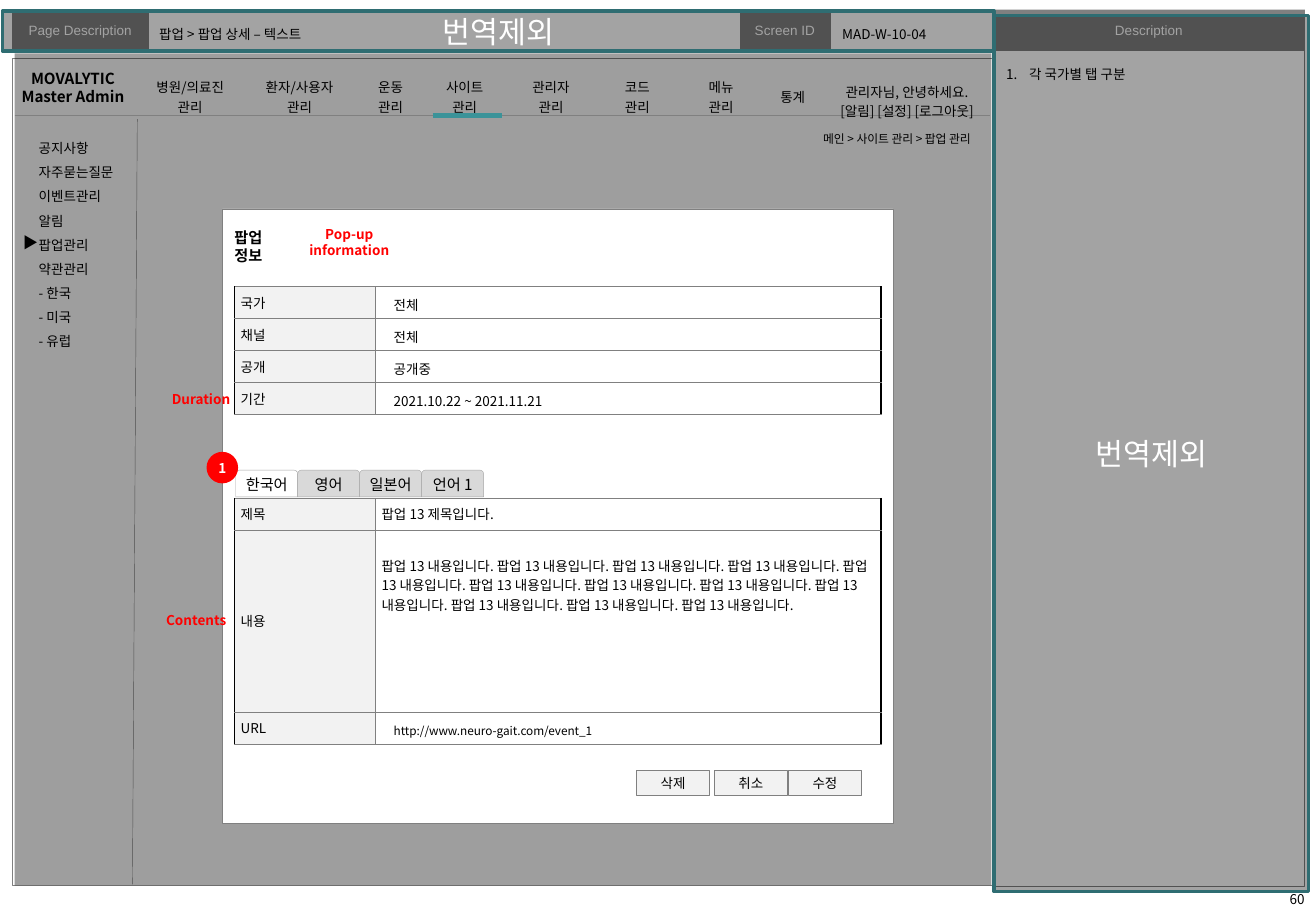
from dataclasses import dataclass

from lxml import etree
from pptx import Presentation
from pptx.dml.color import RGBColor
from pptx.enum.shapes import MSO_CONNECTOR, MSO_SHAPE as Shape
from pptx.enum.text import MSO_ANCHOR as Anchor, MSO_AUTO_SIZE as AutoSize, PP_ALIGN as Align
from pptx.oxml.ns import qn
from pptx.util import Inches, Pt


@dataclass(frozen=True)
class Theme:
    sans: str = "Noto Sans CJK KR"
    arial: str = "Arial"
    black: str = "000000"
    white: str = "FFFFFF"
    gray: str = "808080"
    tab_line: str = "A6A6A6"
    tab_idle: str = "D9D9D9"
    pale: str = "F2F2F2"
    red: str = "FF0000"
    frame: str = "2F6D72"
    accent: str = "3B9399"
    tiny: int = 7
    small: int = 8
    label: int = 9
    large: int = 18
    hairline: float = 0.25
    leading: float = 1.19


class Wireframe:
    def __init__(self, page, theme):
        self.page, self.theme = page, theme

    def set_text(self, frame, lines, size=None, color=None, bold=False, font=None, align=Align.LEFT,
                 anchor=Anchor.TOP, inset=(0.1, 0.05), spacing=None, hanging=0, bullet=None):
        """Spacing is a multiple of the theme leading; None keeps the natural line height."""
        frame.word_wrap = True
        frame.auto_size = AutoSize.NONE
        frame.vertical_anchor = anchor
        frame.margin_left = frame.margin_right = Inches(inset[0])
        frame.margin_top = frame.margin_bottom = Inches(inset[1])
        for number, line in enumerate(lines):
            para = frame.paragraphs[0] if number == 0 else frame.add_paragraph()
            self.set_line(para, line, size, color, bold, font, align, spacing)
            if bullet:
                props = para._p.get_or_add_pPr()
                props.set("marL", str(Inches(hanging)))
                props.set("indent", str(-Inches(hanging)))
                mark = etree.SubElement(props, qn(f"a:{bullet}"))
                if bullet == "buAutoNum":
                    mark.set("type", "arabicPeriod")

    def set_line(self, para, line, size=None, color=None, bold=False, font=None,
                 align=Align.LEFT, spacing=None):
        size = size or self.theme.small
        para.alignment = align
        para.space_before = Pt(0)
        if spacing:
            para.line_spacing = Pt(round(size * self.theme.leading * spacing, 1))
        span = para.add_run()
        span.text = line
        span.font.size, span.font.bold = Pt(size), bold
        span.font.name = font or self.theme.sans
        span.font.color.rgb = RGBColor.from_string(color or self.theme.black)
        east = etree.SubElement(span._r.get_or_add_rPr(), qn("a:ea"))
        east.set("typeface", self.theme.sans)

    def shape(self, at, kind=Shape.RECTANGLE, fill=None, opacity=None, line=None,
              width=None, lines=(), **style):
        box = self.page.shapes.add_shape(kind, *map(Inches, at))
        box.shadow.inherit = False
        if fill:
            box.fill.solid()
            box.fill.fore_color.rgb = RGBColor.from_string(fill)
        else:
            box.fill.background()
        if opacity:
            paint = box._element.spPr.find(qn("a:solidFill"))[0]
            etree.SubElement(paint, qn("a:alpha")).set("val", str(opacity * 1000))
        if line:
            box.line.color.rgb = RGBColor.from_string(line)
            box.line.width = Pt(width or self.theme.hairline)
        else:
            box.line.fill.background()
        self.set_text(box.text_frame, lines, align=Align.CENTER, anchor=Anchor.MIDDLE,
                      inset=(0, 0), **style)
        return box

    def text(self, at, lines, spacing=1, **style):
        box = self.page.shapes.add_textbox(*map(Inches, at))
        self.set_text(box.text_frame, lines, spacing=spacing, **style)

    def placeholder(self, index, at, lines, **style):
        box = self.page.placeholders[index]
        box.left, box.top, box.width, box.height = map(Inches, at)
        self.page.shapes._spTree.append(box._element)
        self.set_text(box.text_frame, lines, **style)

    def line(self, start, end, color, width):
        rule = self.page.shapes.add_connector(MSO_CONNECTOR.STRAIGHT, *map(Inches, start + end))
        rule.line.color.rgb = RGBColor.from_string(color)
        rule.line.width = Pt(width)
        etree.SubElement(rule._element.spPr, qn("a:effectLst"))

    def table(self, left, top, columns, rows):
        at = (left, top, sum(columns), sum(rows))
        table = self.page.shapes.add_table(len(rows), len(columns), *map(Inches, at)).table
        table.first_row = table.horz_banding = False
        for column, width in zip(table.columns, columns):
            column.width = Inches(width)
        for row, height in zip(table.rows, rows):
            row.height = Inches(height)
        return table

    def cell(self, cell, lines, fill=None, borders=(None,) * 4, margins=(0.05,) * 4,
             anchor=Anchor.MIDDLE, **style):
        """Borders and margins run left, right, top, bottom."""
        cell.vertical_anchor = anchor
        (cell.margin_left, cell.margin_right,
         cell.margin_top, cell.margin_bottom) = map(Inches, margins)
        if fill:
            cell.fill.solid()
            cell.fill.fore_color.rgb = RGBColor.from_string(fill)
        else:
            cell.fill.background()
        frame = cell.text_frame
        for number, line in enumerate(lines):
            para = frame.paragraphs[0] if number == 0 else frame.add_paragraph()
            self.set_line(para, line, **style)
        if not lines:  # keeps an empty cell from stretching its row
            ending = etree.SubElement(frame.paragraphs[0]._p, qn("a:endParaRPr"))
            ending.set("sz", str(self.theme.small * 100))
        props = cell._tc.get_or_add_tcPr()
        for number, (side, border) in enumerate(zip("LRTB", borders)):
            edge = etree.Element(qn(f"a:ln{side}"))
            if border:
                edge.set("w", str(Pt(border[1])))
                paint = etree.SubElement(edge, qn("a:solidFill"))
                etree.SubElement(paint, qn("a:srgbClr")).set("val", border[0])
            else:
                etree.SubElement(edge, qn("a:noFill"))
            props.insert(number, edge)

    def form(self, top, heights, rows):
        """Label and value rows; each row holds label, value and the value's cell options."""
        thin = (self.theme.gray, self.theme.hairline)
        left, right = (self.theme.black, 0.5), (self.theme.black, 1.25)
        table = self.table(1.93, top, (1.16, 4.16), heights)
        for number, (label, value, options) in enumerate(rows):
            self.cell(table.cell(number, 0), [label], self.theme.pale, (left, thin, thin, thin))
            self.cell(table.cell(number, 1), [value], borders=(thin, right, thin, thin), **options)


def main():
    theme = Theme()
    deck = Presentation()
    deck.slide_width, deck.slide_height = Inches(10.83), Inches(7.5)
    page = deck.slides.add_slide(deck.slide_layouts[3])
    ui = Wireframe(page, theme)

    # Header strip and page frames
    header = ui.table(0.1, 0.09, (1.12, 4.87, 0.74, 1.35), (0.32,))
    for number, caption in enumerate(("Page Description", "", "Screen ID", "")):
        ui.cell(header.cell(0, number), [caption] if caption else [],
                theme.gray if caption else theme.white, ((theme.gray, theme.hairline),) * 4,
                (0.04,) * 4, color=theme.white, font=theme.arial, align=Align.CENTER)
    for at in ((0.1, 0.48, 8.07, 6.81), (8.17, 0.39, 2.56, 6.91)):
        ui.shape(at, line=theme.gray)
    ui.shape((8.17, 0.08, 2.57, 0.34), fill=theme.gray, lines=["Description"],
             color=theme.white, font=theme.arial)
    ui.text((10.5, 7.29, 0.35, 0.2), ["60"], align=Align.CENTER, inset=(0.05, 0.05))

    # Translucent covers
    for at in ((8.18, 0.13, 2.59, 7.21), (0.02, 0.09, 8.16, 0.33)):
        ui.shape(at, fill=theme.black, opacity=36, line=theme.frame, width=2,
                 lines=["번역제외"], size=theme.large, color=theme.white)
    ui.line((1.13, 0.98), (1.09, 7.28), theme.gray, theme.hairline)
    ui.shape((0.12, 0.44, 8.04, 6.85), fill=theme.black, opacity=38)

    # Side menu and top navigation
    ui.text((0.22, 1.04, 0.88, 1.92),
            ["공지사항", "자주묻는질문", "이벤트관리", "알림", "팝업관리", "약관관리",
             "- 한국", "- 미국", "- 유럽"], spacing=1.5)
    ui.line((0.12, 0.95), (8.15, 0.95), theme.gray, theme.hairline)
    menus = (["병원/의료진", "관리"], ["환자/사용자", "관리"], ["운동", "관리"],
             ["사이트", "관리"], ["관리자", "관리"], ["코드", "관리"], ["메뉴", "관리"],
             ["통계"], ["관리자님, 안녕하세요.", "[알림] [설정] [로그아웃]"])
    navigation = ui.table(1.14, 0.54, (0.85, 0.95, 0.55, 0.67, 0.75, 0.67, 0.71, 0.47, 1.41),
                          (0.41,))
    for number, menu in enumerate(menus):
        bottom = 0.05 if number == len(menus) - 1 else 0.13
        ui.cell(navigation.cell(0, number), menu, margins=(0.1, 0.1, 0.05, bottom),
                align=Align.CENTER)
    ui.line((3.56, 0.95), (4.13, 0.95), theme.accent, 3)
    ui.text((0.01, 0.52, 1.18, 0.4), ["MOVALYTIC", "Master Admin"], size=theme.label,
            bold=True, align=Align.CENTER)

    # Title, screen number and description
    ui.placeholder(0, (1.27, 0.13, 5.01, 0.3), ["팝업 > 팝업 상세 – 텍스트"],
                   anchor=Anchor.MIDDLE, inset=(0.04, 0.05), spacing=1)
    ui.placeholder(1, (6.83, 0.13, 1.3, 0.3), ["MAD-W-10-04"], anchor=Anchor.MIDDLE,
                   spacing=1, hanging=0.38, bullet="buNone")
    ui.placeholder(2, (8.18, 0.43, 2.55, 6.9), ["각 국가별 탭 구분"],
                   spacing=1.5, hanging=0.19, bullet="buAutoNum")

    # Popup panel with its two forms
    ui.shape((1.83, 1.72, 5.52, 5.06), fill=theme.white, line=theme.gray)
    ui.text((1.88, 1.83, 0.4, 0.42), ["팝업 정보"], size=theme.label, bold=True,
            inset=(0.05, 0.05))
    indented = {"margins": (0.15, 0.05, 0.07, 0.03), "spacing": 1.2}
    ui.form(2.36, (0.26,) * 4, (
        ("국가", "전체", indented), ("채널", "전체", indented), ("공개", "공개중", indented),
        ("기간", "2021.10.22 ~ 2021.11.21", indented)))
    content = " ".join(["팝업 13 내용입니다."] * 12)
    ui.form(4.1, (0.26, 1.5, 0.26), (
        ("제목", "팝업 13 제목입니다.", {}),
        ("내용", content, {"anchor": Anchor.TOP, "margins": (0.05, 0.05, 0.21, 0.05)}),
        ("URL", "http://www.neuro-gait.com/event_1", {**indented, "size": theme.tiny})))

    # Language tabs
    for number, language in enumerate(("한국어", "영어", "일본어", "언어 1")):
        tab = ui.shape((round(1.94 + 0.51 * number, 2), 3.87, 0.51, 0.22),
                       Shape.ROUND_2_SAME_RECTANGLE, line=theme.tab_line,
                       fill=theme.tab_idle if number else theme.white,
                       lines=[language], size=theme.label)
        tab.adjustments[0] = 0.14

    # Buttons, marker and breadcrumb
    for left, action in ((5.24, "삭제"), (5.88, "취소"), (6.49, "수정")):
        ui.shape((left, 6.34, 0.6, 0.21), fill=theme.pale, line=theme.gray, lines=[action])
    ui.shape((1.7, 3.72, 0.26, 0.26), Shape.OVAL, fill=theme.red, lines=["1"],
             color=theme.white, bold=True)
    ui.text((6.31, 1.04, 1.73, 0.22), ["메인 > 사이트 관리 > 팝업 관리"], size=theme.tiny,
            align=Align.RIGHT, inset=(0.05, 0.05))
    ui.text((0.09, 1.87, 0.33, 0.25), ["▶"], size=theme.label)

    # Red translations
    for left, top, height, note in ((1.16, 5.04, 0.13, "Contents"), (1.2, 3.22, 0.13, "Duration"),
                                    (2.42, 1.86, 0.27, "Pop-up information")):
        ui.text((left, top, 0.91, height), [note], color=theme.red, bold=True,
                align=Align.CENTER, inset=(0, 0))

    deck.save("out.pptx")


if __name__ == "__main__":
    main()
